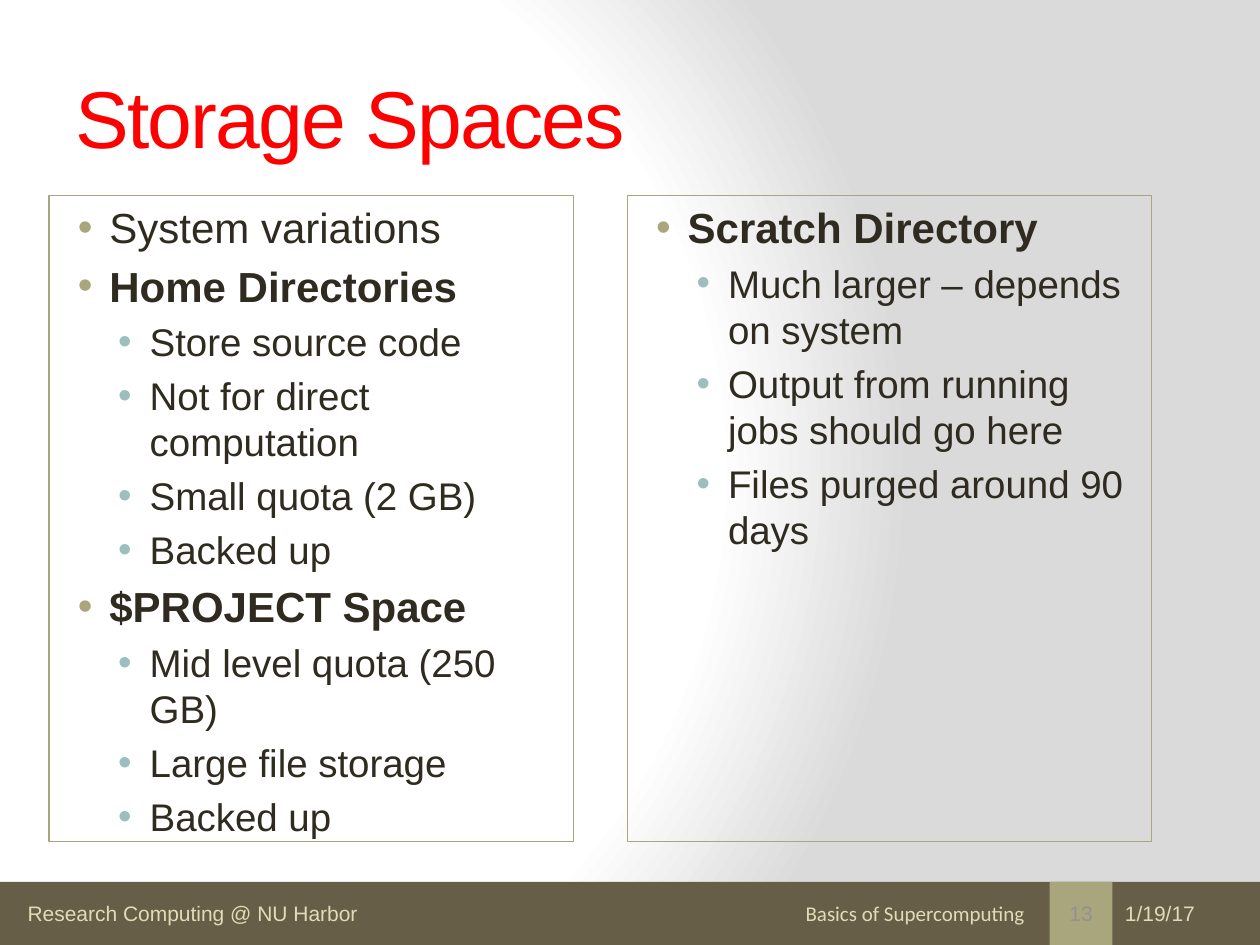
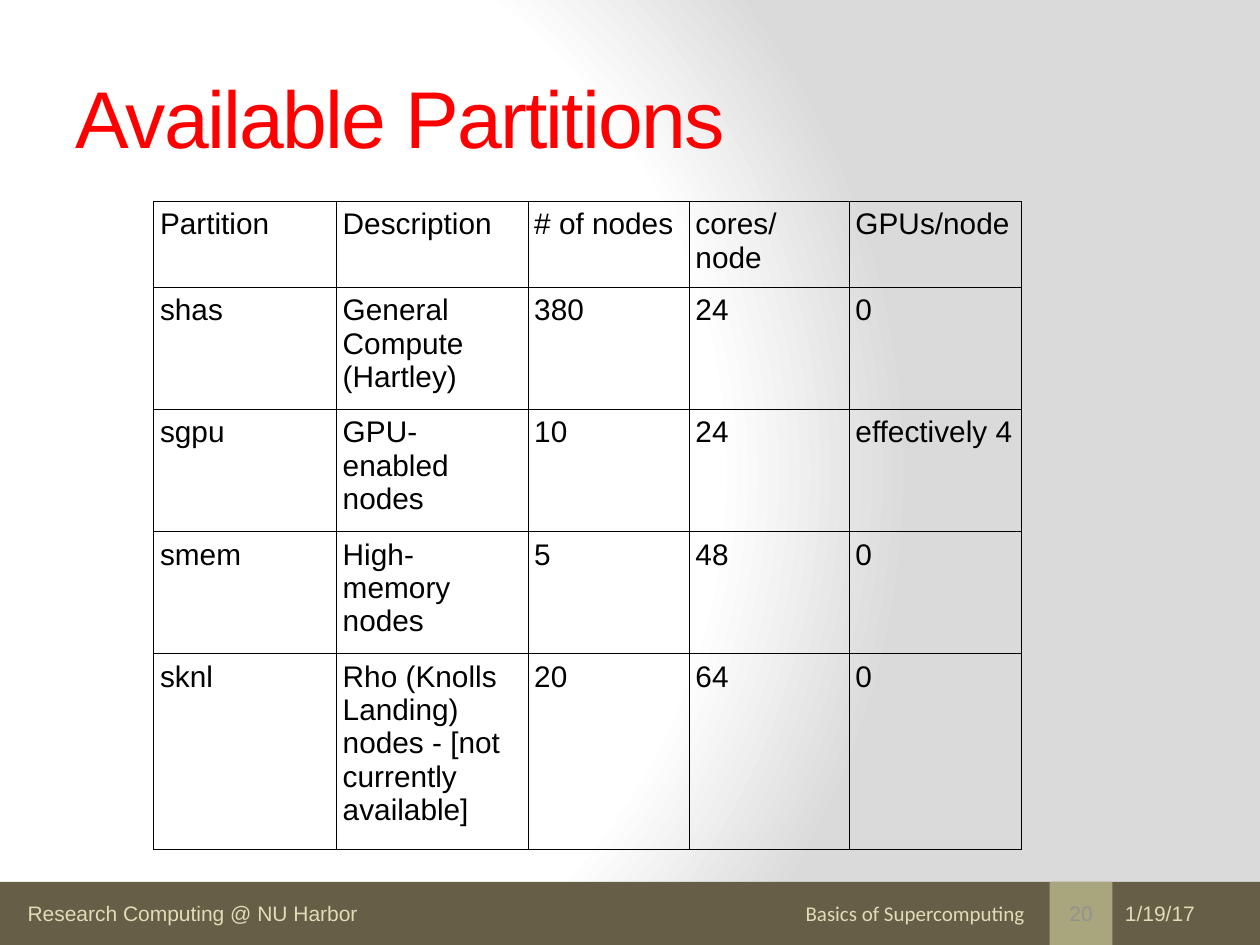
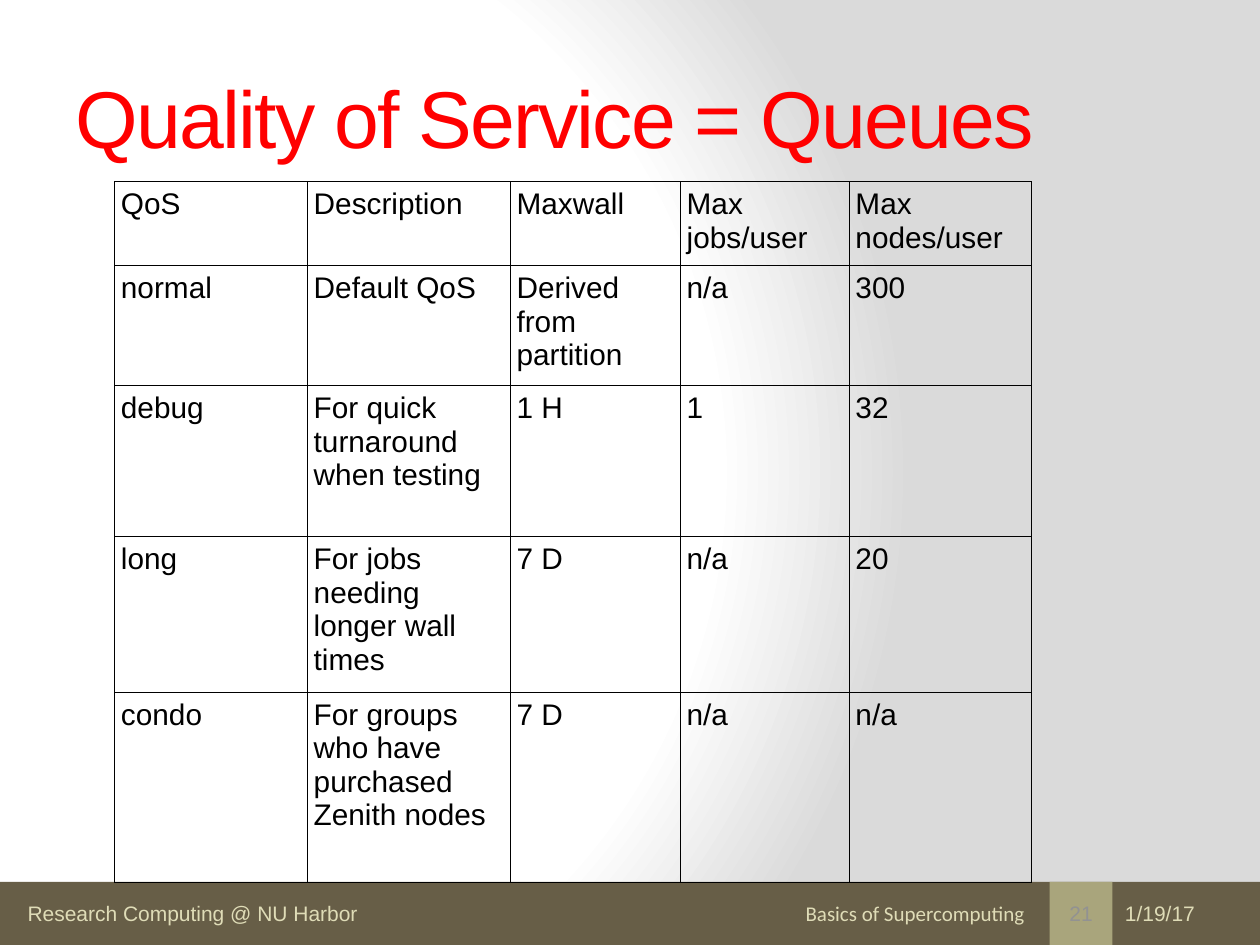
from dataclasses import dataclass

from pptx import Presentation
from pptx import util as u
from pptx.dml.color import RGBColor
from pptx.enum import shapes, text
from pptx.oxml import parse_xml
from pptx.oxml.ns import nsdecls, qn
from pptx.presentation import Presentation as Deck
from pptx.slide import Slide
from pptx.table import _Cell as Cell
from pptx.text.text import TextFrame, _Paragraph as Paragraph

COLORS = {
    "white": "FFFFFF",
    "shade": "DADADA",
    "band": "675E47",
    "accent": "A9A57C",
    "sub_bullet": "9CBEBD",
    "footer": "DFDCB7",
    "number": "929292",
    "title": "FF0000",
    "body": "2F2B20",
    "table": "000000",
}
BAND_TOP = 7.0
BAND_HEIGHT = 0.5
CELL_INSET = u.Inches(0.05)


@dataclass(frozen=True)
class Box:
    left: float
    top: float
    width: float
    height: float

    def lengths(self) -> tuple[u.Length, ...]:
        return tuple(u.Inches(n) for n in (self.left, self.top, self.width, self.height))


@dataclass(frozen=True)
class Style:
    size: float
    color: str
    font: str = "Arial"
    bold: bool = False


@dataclass(frozen=True)
class Label:
    box: Box
    style: Style
    align: text.PP_ALIGN = text.PP_ALIGN.LEFT
    anchor: text.MSO_ANCHOR = text.MSO_ANCHOR.MIDDLE


@dataclass(frozen=True)
class Level:
    indent: float
    size: float
    bullet: str


@dataclass(frozen=True)
class Item:
    words: str
    level: int = 1
    bold: bool = False


@dataclass(frozen=True)
class Grid:
    left: float
    top: float
    columns: tuple[float, ...]
    heights: tuple[float, ...]
    rows: tuple[tuple[str, ...], ...]


FOOTER = Style(12, "footer")
TITLE = Label(Box(0.5, 0.3, 8.96, 1.25), Style(46, "title"))
NUMBER = Label(Box(8.33, BAND_TOP, 0.5, BAND_HEIGHT), Style(12, "number"), text.PP_ALIGN.CENTER)
FOOTERS = (
    (Label(Box(0.12, 7.1, 2.91, 0.3), FOOTER, anchor=text.MSO_ANCHOR.TOP),
     "Research Computing @ NU Harbor"),
    (Label(Box(8.83, 7.05, 1.1, 0.4), FOOTER), "1/19/17"),
    (Label(Box(3.57, 7.05, 4.66, 0.4), Style(12, "footer", "Calibri"), text.PP_ALIGN.RIGHT),
     "Basics of Supercomputing"),
)
LEVELS = (Level(0.38, 24, "accent"), Level(0.7, 22, "sub_bullet"))
TABLE_STYLE = Style(17, "table")

PANELS = (
    (Box(0.39, 1.55, 4.16, 5.13), (
        Item("System variations", 0),
        Item("Home Directories", 0, True),
        Item("Store source code"),
        Item("Not for direct computation"),
        Item("Small quota (2 GB)"),
        Item("Backed up"),
        Item("$PROJECT Space", 0, True),
        Item("Mid level quota (250 GB)"),
        Item("Large file storage"),
        Item("Backed up"),
    )),
    (Box(4.98, 1.55, 4.16, 5.13), (
        Item("Scratch Directory", 0, True),
        Item("Much larger – depends on system"),
        Item("Output from running jobs should go here"),
        Item("Files purged around 90 days"),
    )),
)

PARTITIONS = Grid(
    1.22, 1.6, (1.45, 1.52, 1.28, 1.27, 1.37), (0.68, 0.97, 0.97, 0.97, 1.55),
    (
        ("Partition", "Description", "# of nodes", "cores/node", "GPUs/node"),
        ("shas", "General Compute (Hartley)", "380", "24", "0"),
        ("sgpu", "GPU-enabled nodes", "10", "24", "effectively 4"),
        ("smem", "High-memory nodes", "5", "48", "0"),
        ("sknl", "Rho (Knolls Landing) nodes - [not currently available]", "20", "64", "0"),
    ),
)
QUEUES = Grid(
    0.91, 1.44, (1.53, 1.61, 1.35, 1.34, 1.45), (0.66, 0.94, 1.2, 1.2, 1.51),
    (
        ("QoS", "Description", "Maxwall", "Max jobs/user", "Max nodes/user"),
        ("normal", "Default QoS", "Derived from partition", "n/a", "300"),
        ("debug", "For quick turnaround when testing", "1 H", "1", "32"),
        ("long", "For jobs needing longer wall times", "7 D", "n/a", "20"),
        ("condo", "For groups who have purchased Zenith nodes", "7 D", "n/a", "n/a"),
    ),
)


def rgb(name: str) -> RGBColor:
    return RGBColor.from_string(COLORS[name])


def add_run(paragraph: Paragraph, words: str, style: Style):
    run = paragraph.add_run()
    run.text = words
    run.font.name = style.font
    run.font.size = u.Pt(style.size)
    run.font.bold = style.bold
    run.font.color.rgb = rgb(style.color)
    return run


def add_label(slide: Slide, label: Label, words: str):
    frame = slide.shapes.add_textbox(*label.box.lengths()).text_frame
    frame.word_wrap = True
    frame.vertical_anchor = label.anchor
    paragraph = frame.paragraphs[0]
    paragraph.alignment = label.align
    return add_run(paragraph, words, label.style)


def add_block(slide: Slide, box: Box, fill: str | None = None, line: str | None = None) -> TextFrame:
    shape = slide.shapes.add_shape(shapes.MSO_SHAPE.RECTANGLE, *box.lengths())
    shape.shadow.inherit = False
    if fill:
        shape.fill.solid()
        shape.fill.fore_color.rgb = rgb(fill)
    else:
        shape.fill.background()
    if line:
        shape.line.color.rgb = rgb(line)
        shape.line.width = u.Pt(0.75)
    else:
        shape.line.fill.background()
    return shape.text_frame


def add_bullet(paragraph: Paragraph, level: Level) -> None:
    paragraph.alignment = text.PP_ALIGN.LEFT
    properties = paragraph._p.get_or_add_pPr()
    properties.set("marL", str(u.Inches(level.indent)))
    properties.set("indent", str(u.Inches(-0.25)))
    for element in (
        '<a:spcBef {}><a:spcPct val="20000"/></a:spcBef>',
        f'<a:buClr {{}}><a:srgbClr val="{COLORS[level.bullet]}"/></a:buClr>',
        '<a:buFont {} typeface="Arial"/>',
        '<a:buChar {} char="•"/>',
    ):
        properties.append(parse_xml(element.format(nsdecls("a"))))


def add_panel(slide: Slide, box: Box, items: tuple[Item, ...]) -> None:
    frame = add_block(slide, box, line="accent")
    frame.word_wrap = True
    frame.vertical_anchor = text.MSO_ANCHOR.TOP
    for index, item in enumerate(items):
        paragraph = frame.add_paragraph() if index else frame.paragraphs[0]
        level = LEVELS[item.level]
        paragraph.level = item.level
        add_bullet(paragraph, level)
        add_run(paragraph, item.words, Style(level.size, "body", bold=item.bold))


def fill_cell(cell: Cell, words: str) -> None:
    cell.margin_left = cell.margin_right = CELL_INSET
    cell.margin_top = cell.margin_bottom = CELL_INSET
    add_run(cell.text_frame.paragraphs[0], words, TABLE_STYLE)
    properties = cell._tc.get_or_add_tcPr()
    for side in ("lnL", "lnR", "lnT", "lnB"):
        properties.append(parse_xml(
            f'<a:{side} {nsdecls("a")} w="{u.Pt(0.5)}"><a:solidFill>'
            f'<a:srgbClr val="{COLORS["table"]}"/></a:solidFill></a:{side}>'))
    cell.fill.background()


def add_grid(slide: Slide, grid: Grid) -> None:
    box = Box(grid.left, grid.top, sum(grid.columns), sum(grid.heights))
    table = slide.shapes.add_table(len(grid.rows), len(grid.columns), *box.lengths()).table
    table.first_row = table.horz_banding = False
    for column, width in zip(table.columns, grid.columns):
        column.width = u.Inches(width)
    for row, height, words in zip(table.rows, grid.heights, grid.rows):
        row.height = u.Inches(height)
        for cell, entry in zip(row.cells, words):
            fill_cell(cell, entry)


def set_background(presentation: Deck) -> None:
    master = presentation.slide_master
    master.background.fill.solid()
    properties = master._element.find(".//" + qn("p:bgPr"))
    stops = "".join(
        f'<a:gs pos="{position * 1000}"><a:srgbClr val="{COLORS[name]}"/></a:gs>'
        for position, name in ((0, "white"), (75, "white"), (100, "shade")))
    properties.replace(properties[0], parse_xml(
        f'<a:gradFill {nsdecls("a")} rotWithShape="1"><a:gsLst>{stops}</a:gsLst>'
        '<a:path path="circle"><a:fillToRect l="20000" t="50000" r="100000" b="50000"/>'
        '</a:path></a:gradFill>'))


def add_slide(presentation: Deck, title: str, number: int) -> Slide:
    slide = presentation.slides.add_slide(presentation.slide_layouts[6])
    add_block(slide, Box(0, BAND_TOP, 10, BAND_HEIGHT), fill="band")
    add_block(slide, NUMBER.box, fill="accent")
    for label, words in FOOTERS:
        add_label(slide, label, words)
    add_label(slide, NUMBER, str(number))
    run = add_label(slide, TITLE, title)
    run._r.get_or_add_rPr().set("spc", "-100")
    return slide


def main() -> None:
    presentation = Presentation()
    presentation.slide_width = u.Inches(10)
    presentation.slide_height = u.Inches(7.5)
    set_background(presentation)

    storage = add_slide(presentation, "Storage Spaces", 13)
    for box, items in PANELS:
        add_panel(storage, box, items)
    add_grid(add_slide(presentation, "Available Partitions", 20), PARTITIONS)
    add_grid(add_slide(presentation, "Quality of Service = Queues", 21), QUEUES)

    presentation.save("out.pptx")


if __name__ == "__main__":
    main()
